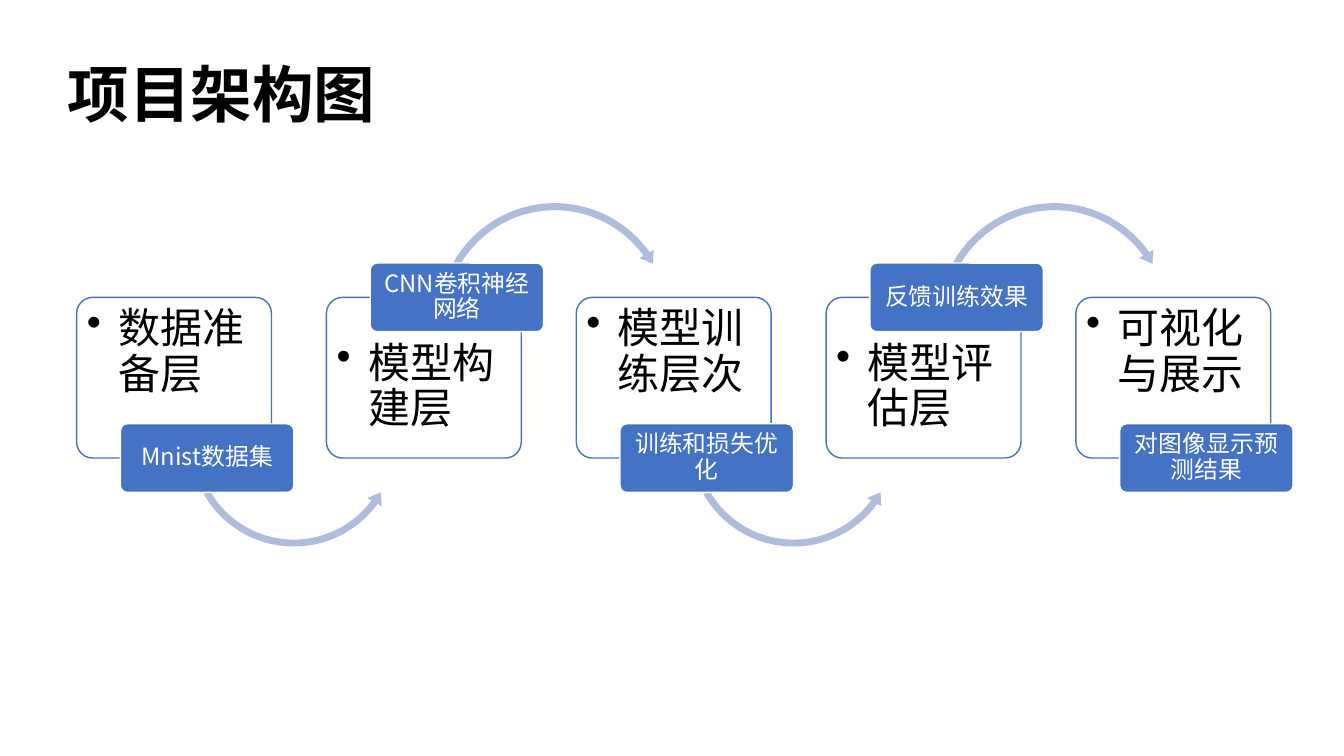
import lxml.etree
import pptx
import pptx.dml.color
import pptx.enum.shapes
import pptx.enum.text
import pptx.oxml.ns
import pptx.util

Pt = pptx.util.Pt
SHAPE = pptx.enum.shapes.MSO_SHAPE
ALIGN = pptx.enum.text.PP_ALIGN
ANCHOR = pptx.enum.text.MSO_ANCHOR
FONT = "Noto Sans CJK SC"
STAGES = [
    ("数据准备层", "Mnist数据集"),
    ("模型构建层", "CNN卷积神经网络"),
    ("模型训练层次", "训练和损失优化"),
    ("模型评估层", "反馈训练效果"),
    ("可视化与展示", "对图像显示预测结果"),
]


def color(hex_string):
    """Return the RGB colour for a hex string."""
    return pptx.dml.color.RGBColor.from_string(hex_string)


def add_child(parent, tag, **attributes):
    """Append a DrawingML element to a parent."""
    return lxml.etree.SubElement(parent, pptx.oxml.ns.qn(tag), **attributes)


def write(s, text, size, hex_string, align, anchor, margins, bold=False):
    """Fill a shape with one formatted paragraph and return it."""
    tf = s.text_frame
    tf.word_wrap = True
    tf.vertical_anchor = anchor
    tf.margin_left, tf.margin_top, tf.margin_right, tf.margin_bottom = map(Pt, margins)
    p = tf.paragraphs[0]
    p.text = text
    p.alignment = align
    p.line_spacing = 0.9
    p.font.size = Pt(size)
    p.font.bold = bold
    p.font.color.rgb = color(hex_string)
    p.font.name = FONT
    add_child(p.font._element, "a:ea", typeface=FONT)
    return p


def add_block(slide, kind, box, fill, line=None, adjustments=(0.1,)):
    """Add a flat filled shape with an optional outline."""
    s = slide.shapes.add_shape(kind, *map(Pt, box))
    s.shadow.inherit = False
    for i, value in enumerate(adjustments):
        s.adjustments[i] = value
    s.fill.solid()
    s.fill.fore_color.rgb = color(fill)
    if line:
        s.line.color.rgb = color(line)
        s.line.width = Pt(1)
    else:
        s.line.fill.background()
    return s


def add_title(slide, text, box):
    """Place the slide title in the given box."""
    s = slide.shapes.title
    s.left, s.top, s.width, s.height = map(Pt, box)
    p = write(s, text, 44, "000000", ALIGN.LEFT, ANCHOR.TOP, (7.2, 3.6, 7.2, 3.6), True)
    p.line_spacing = 1
    s.text_frame.word_wrap = False


def add_arrow(slide, x, y, raised):
    """Add the curved arrow of a stage whose card starts at x, y."""
    if raised:
        kind, box = SHAPE.CIRCULAR_ARROW, (x + 76.8, y - 70.6, 172.8, 172.8)
        adjustments = (0.029, 3.554, 194.691, 125.755, 0.034)
    else:
        kind, box = SHAPE.LEFT_CIRCULAR_ARROW, (x + 77.8, y + 26.6, 154.8, 154.8)
        adjustments = (0.032, 3.994, 21.749, 90.245, 0.038)
    add_block(slide, kind, box, "B0BCDE", adjustments=adjustments)


def add_stage(slide, box, name, detail, raised, has_arrow):
    """Add a card with its bulleted name, label and arrow."""
    x, y, w, h = box
    card = add_block(slide, SHAPE.ROUNDED_RECTANGLE, box, "FFFFFF", "4472C4")
    top = 28.4 if raised else 3.9
    p = write(card, name, 30, "000000", ALIGN.LEFT, ANCHOR.TOP, (3.9, top, 3.9, 3.9))
    pPr = p._p.get_or_add_pPr()
    pPr.set("marL", str(Pt(22.5)))
    pPr.set("indent", str(-Pt(22.5)))
    bullet = pptx.oxml.parse_xml(
        '<a:buChar xmlns:a="http://schemas.openxmlformats.org/drawingml/2006/main" char="•"/>'
    )
    p.font._element.addprevious(bullet)
    if has_arrow:
        add_arrow(slide, x, y, raised)
    label_height = 49
    label_top = y - label_height / 2 + (0 if raised else h)
    label_box = (x + w * 0.225, label_top, w * 0.89, label_height)
    label = add_block(slide, SHAPE.ROUNDED_RECTANGLE, label_box, "4472C4", "FFFFFF")
    write(label, detail, 17, "FFFFFF", ALIGN.CENTER, ANCHOR.MIDDLE, (2.9, 1.4, 2.9, 1.4))


def add_process(slide, box, stages):
    """Spread the stages evenly across the given box."""
    x, y, w, h = box
    card_width = 139.2
    pitch = (w - card_width) / (len(stages) - 1)
    for i, (name, detail) in enumerate(stages):
        card = (x + i * pitch, y, card_width, h)
        add_stage(slide, card, name, detail, i % 2 == 1, i < len(stages) - 1)


def main():
    """Build and save the architecture slide."""
    prs = pptx.Presentation()
    prs.slide_width, prs.slide_height = Pt(960), Pt(540)
    slide = prs.slides.add_slide(prs.slide_layouts[5])
    add_title(slide, "项目架构图", (41, 36, 237, 60.5))
    add_process(slide, (54.7, 212.4, 853, 114.8), STAGES)
    prs.save("out.pptx")


if __name__ == "__main__":
    main()
